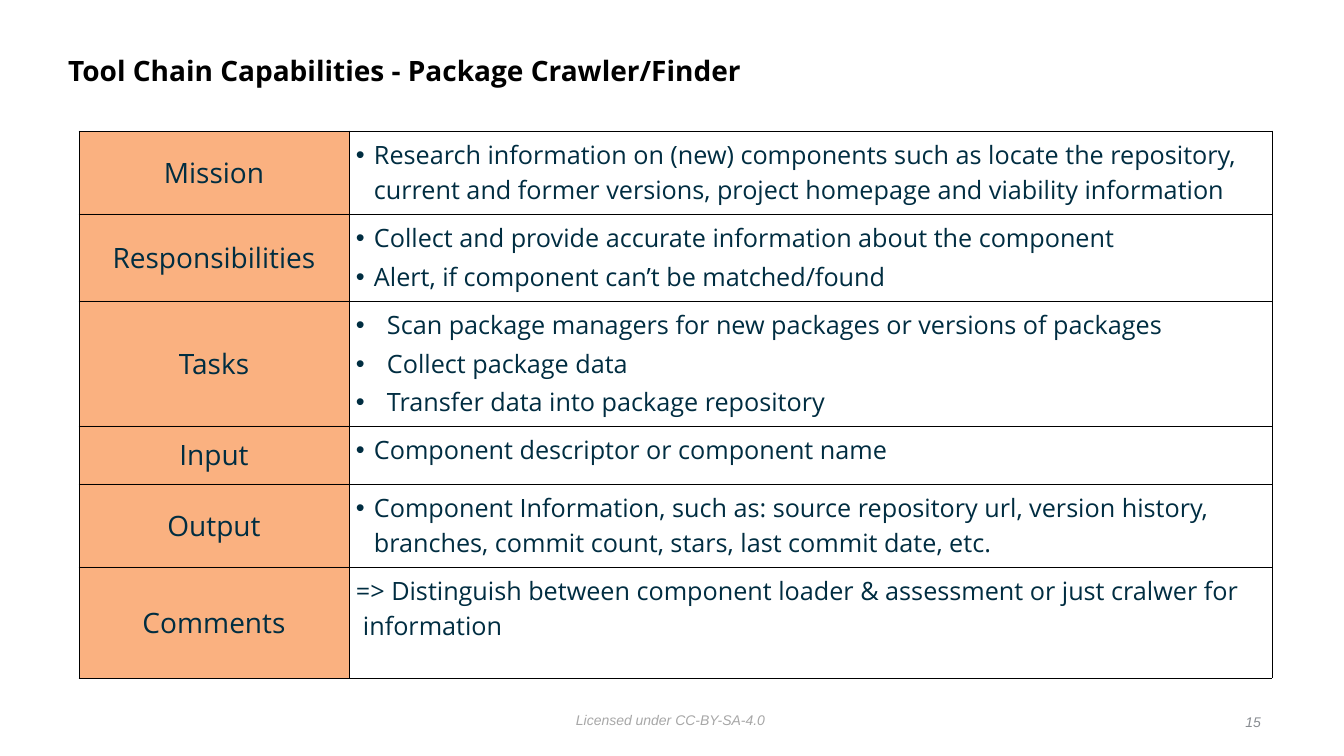
"""Build the slide on the package crawler/finder in the tool chain."""
from lxml import etree
from pptx import Presentation
from pptx.dml.color import RGBColor
from pptx.enum.text import MSO_ANCHOR, PP_ALIGN
from pptx.oxml.ns import qn
from pptx.util import Pt

PX = 914400 / 100.8
MIDDLE, TOP = MSO_ANCHOR.MIDDLE, MSO_ANCHOR.TOP
LEFT, CENTER, RIGHT = PP_ALIGN.LEFT, PP_ALIGN.CENTER, PP_ALIGN.RIGHT
BLACK = RGBColor(0x00, 0x00, 0x00)
NAVY = RGBColor(0x00, 0x2D, 0x41)
ORANGE = RGBColor(0xF6, 0x65, 0x03)
SILVER = RGBColor(0xA7, 0xA7, 0xA7)
GRAY = RGBColor(0x88, 0x8C, 0x91)


def px(count):
    return round(count * PX)


def style_text(paragraph, font, size, color, align=LEFT):
    paragraph.alignment = align
    for span in paragraph.runs:
        span.font.name = font
        span.font.size = Pt(size)
        span.font.color.rgb = color


deck = Presentation()
deck.slide_width, deck.slide_height = px(1344), px(756)
page = deck.slides.add_slide(deck.slide_layouts[6])

captions = [
    ("Tool Chain Capabilities - Package Crawler/Finder", (63, 39, 1084, 66),
     "Open Sans", 20, BLACK, LEFT, MIDDLE),
    ("Licensed under CC-BY-SA-4.0", (571, 707, 201, 25),
     "Arial", 10, SILVER, LEFT, TOP),
    ("15", (1226, 709, 40, 25), "Arial", 10, GRAY, RIGHT, MIDDLE),
]
for words, place, font, size, color, align, anchor in captions:
    box = page.shapes.add_textbox(*map(px, place))
    frame = box.text_frame
    frame.margin_left = frame.margin_right = px(5)
    frame.margin_top = frame.margin_bottom = px(5)
    frame.vertical_anchor = anchor
    is_title = size == 20
    frame.word_wrap = True
    frame.text = words
    para = frame.paragraphs[0]
    style_text(para, font, size, color, align)
    para.runs[0].font.bold = is_title
    para.runs[0].font.italic = not is_title
    if is_title:
        para.line_spacing = 0.9

capabilities = [
    ("Mission", 83, 18, "•", [
        "Research information on (new) components such as locate the repository, "
        "current and former versions, project homepage and viability information"]),
    ("Responsibilities", 87, 18, "•", [
        "Collect and provide accurate information about the component",
        "Alert, if component can’t be matched/found"]),
    ("Tasks", 125, 31, "•", [
        "Scan package managers for new packages or versions of packages",
        "Collect package data",
        "Transfer data into package repository"]),
    ("Input", 58, 18, "•", ["Component descriptor or component name"]),
    ("Output", 83, 18, "•", [
        "Component Information, such as: source repository url, version history, "
        "branches, commit count, stars, last commit date, etc."]),
    ("Comments", 111, 7, "", [
        "=> Distinguish between component loader & assessment or just cralwer for "
        "information"]),
]
column_widths = [270, 923]
table_height = sum(height for _, height, *_ in capabilities)
table = page.shapes.add_table(len(capabilities), 2, px(79), px(131),
                              px(sum(column_widths)), px(table_height)).table
table.first_row = table.horz_banding = False
for column, width in zip(table.columns, column_widths):
    column.width = px(width)

for row, (label, height, indent, bullet, points) in zip(table.rows, capabilities):
    row.height = px(height)
    label_cell, detail_cell = row.cells

    label_cell.text_frame.text = label
    style_text(label_cell.text_frame.paragraphs[0], "Open Sans", 20, NAVY, CENTER)
    label_cell.fill.solid()
    label_cell.fill.fore_color.rgb = ORANGE
    tint = next(label_cell._tc.tcPr.iter(qn("a:srgbClr")))
    etree.SubElement(tint, qn("a:alpha"), val="50000")

    detail_cell.text_frame.text = "\n".join(points)
    detail_cell.fill.background()
    for para in detail_cell.text_frame.paragraphs:
        style_text(para, "Open Sans", 18, NAVY)
        para.space_before = Pt(3)
        properties = para._p.get_or_add_pPr()
        properties.set("marL", str(px(indent)))
        properties.set("indent", str(-px(indent)))
        if bullet:
            etree.SubElement(properties, qn("a:buFont"), typeface="Arial")
            etree.SubElement(properties, qn("a:buChar"), char=bullet)

    for cell, margin, anchor in ((label_cell, 0, MIDDLE), (detail_cell, 7, TOP)):
        cell.margin_left = cell.margin_right = px(margin)
        cell.margin_top = cell.margin_bottom = px(margin)
        cell.vertical_anchor = anchor
        for position, side in enumerate(("lnL", "lnR", "lnT", "lnB")):
            border = etree.Element(qn(f"a:{side}"), w=str(Pt(0.5)))
            paint = etree.SubElement(border, qn("a:solidFill"))
            etree.SubElement(paint, qn("a:srgbClr"), val=str(BLACK))
            cell._tc.tcPr.insert(position, border)

deck.save("out.pptx")
